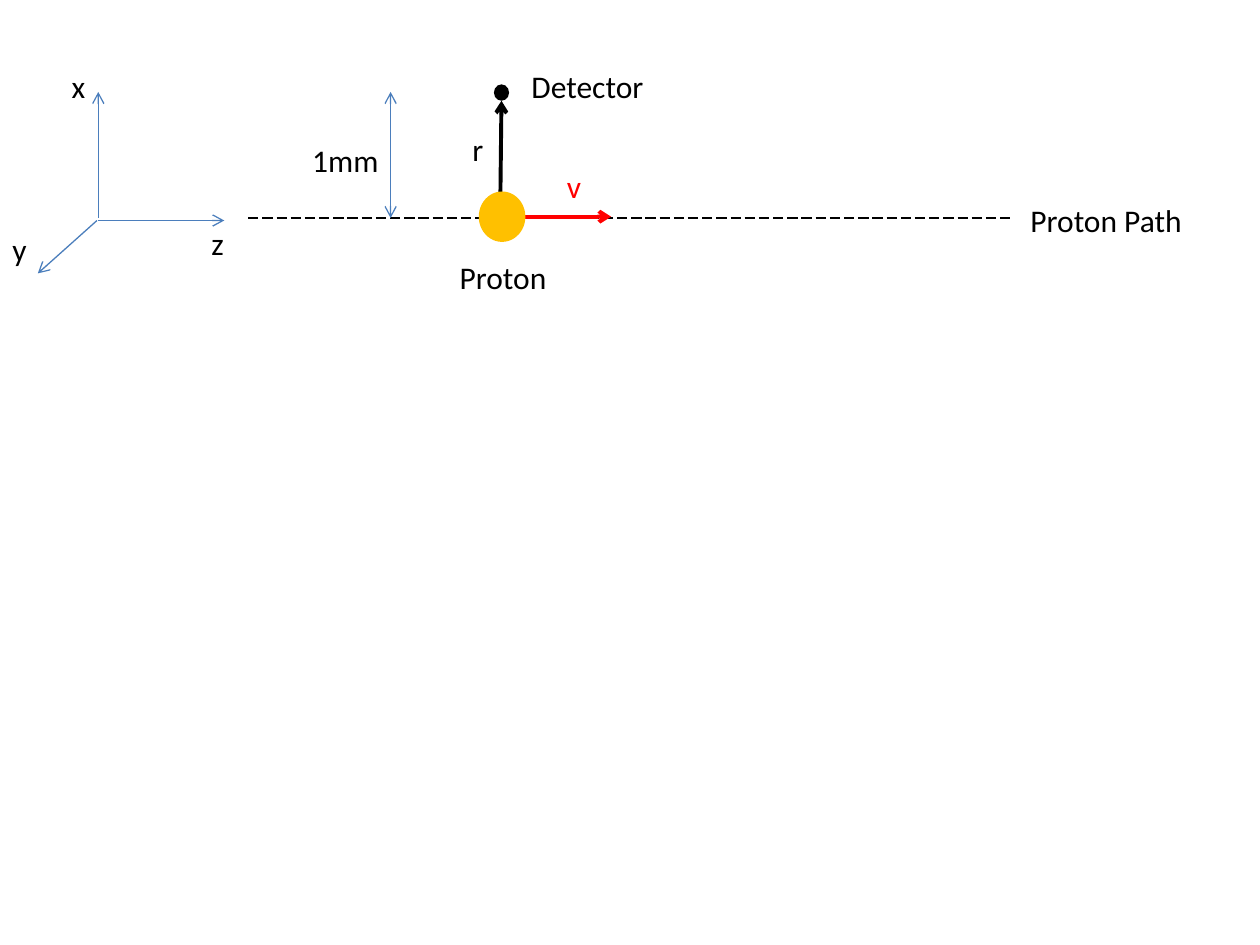
"""Build a slide showing a proton passing a detector, with its coordinate axes."""
from lxml import etree
from pptx import Presentation
from pptx.dml.color import RGBColor
from pptx.enum.dml import MSO_LINE
from pptx.enum.shapes import MSO_CONNECTOR, MSO_SHAPE
from pptx.enum.text import MSO_AUTO_SIZE
from pptx.oxml.ns import qn
from pptx.util import Inches, Pt

STRAIGHT = MSO_CONNECTOR.STRAIGHT
LONG_DASH = MSO_LINE.LONG_DASH
OVAL = MSO_SHAPE.OVAL
FIT_SHAPE = MSO_AUTO_SIZE.SHAPE_TO_FIT_TEXT

THEME = {
    "font": "Calibri", "label": 18, "thin": 0.75, "thick": 2.25,
    "ink": RGBColor.from_string("000000"),
    "axis": RGBColor.from_string("4B7EBC"),
    "velocity": RGBColor.from_string("FF0000"),
    "proton": RGBColor.from_string("FFC000"),
}

deck = Presentation()
deck.slide_width, deck.slide_height = Inches(10), Inches(7.5)
COL, ROW = deck.slide_width / 100, deck.slide_height / 75
slide = deck.slides.add_slide(deck.slide_layouts[6])


def place(left, top, right, bottom):
    return round(left * COL), round(top * ROW), round(right * COL), round(bottom * ROW)


PATH_ROW = 17.3
DISTANCE = 10
DETECTOR_ROW = PATH_ROW - DISTANCE
ORIGIN_COL, ORIGIN_ROW = 7.8, 17.5
GAP_COL = 31
LABEL_ROWS = 4

proton_box = (38, 15.2, 3.7, 4)
detector_box = (39.2, 6.7, 1.2, 1.3)
proton_edge = proton_box[0] + proton_box[2]
detector_edge = detector_box[1] + detector_box[3]

ARROW, BOTH = ("a:tailEnd",), ("a:headEnd", "a:tailEnd")
lines = [
    ((39.7, 17, 39.8, detector_edge), "ink", "thick", ARROW),
    ((19.7, PATH_ROW, 80.2, PATH_ROW), "ink", "thin", ()),
    ((ORIGIN_COL, ORIGIN_ROW, ORIGIN_COL + DISTANCE, ORIGIN_ROW), "axis", "thin", ARROW),
    ((ORIGIN_COL, PATH_ROW, ORIGIN_COL, DETECTOR_ROW), "axis", "thin", ARROW),
    ((7.7, ORIGIN_ROW, 3, 21.7), "axis", "thin", ARROW),
    ((proton_edge, 17.2, 48.5, 17.2), "velocity", "thick", ARROW),
    ((GAP_COL, DETECTOR_ROW, GAP_COL, PATH_ROW), "axis", "thin", BOTH),
]
for ends, color, weight, arrowheads in lines:
    connector = slide.shapes.add_connector(STRAIGHT, *place(*ends))
    connector.line.color.rgb = THEME[color]
    connector.line.width = Pt(THEME[weight])
    if not arrowheads:
        connector.line.dash_style = LONG_DASH
    outline = connector.line._get_or_add_ln()
    for arrowhead in arrowheads:
        etree.SubElement(outline, qn(arrowhead), type="arrow")
    etree.SubElement(connector._element.spPr, qn("a:effectLst"))

for box, color in [(proton_box, "proton"), (detector_box, "ink")]:
    particle = slide.shapes.add_shape(OVAL, *place(*box))
    particle.shadow.inherit = False
    particle.fill.solid()
    particle.fill.fore_color.rgb = THEME[color]
    particle.line.fill.background()

labels = [
    ("Proton Path", 80.8, 15.5, 14.1, "ink"),
    ("z", 15.8, 17.3, 3, "ink"),
    ("x", 4.7, 4.8, 3.1, "ink"),
    ("y", 0, 17.8, 3.2, "ink"),
    ("Detector", 41.2, 4.8, 11, "ink"),
    ("Proton", 35.5, 20, 9, "ink"),
    ("1mm", 23.8, 10.7, 7.3, "ink"),
    ("v", 44, 12.8, 3.2, "velocity"),
    ("r", 36.5, 9.8, 2.9, "ink"),
]
for wording, left, top, width, color in labels:
    label = slide.shapes.add_textbox(*place(left, top, width, LABEL_ROWS)).text_frame
    label.text = wording
    label.word_wrap = False
    label.auto_size = FIT_SHAPE
    font = label.paragraphs[0].runs[0].font
    font.name, font.size = THEME["font"], Pt(THEME["label"])
    font.color.rgb = THEME[color]

deck.save("out.pptx")
